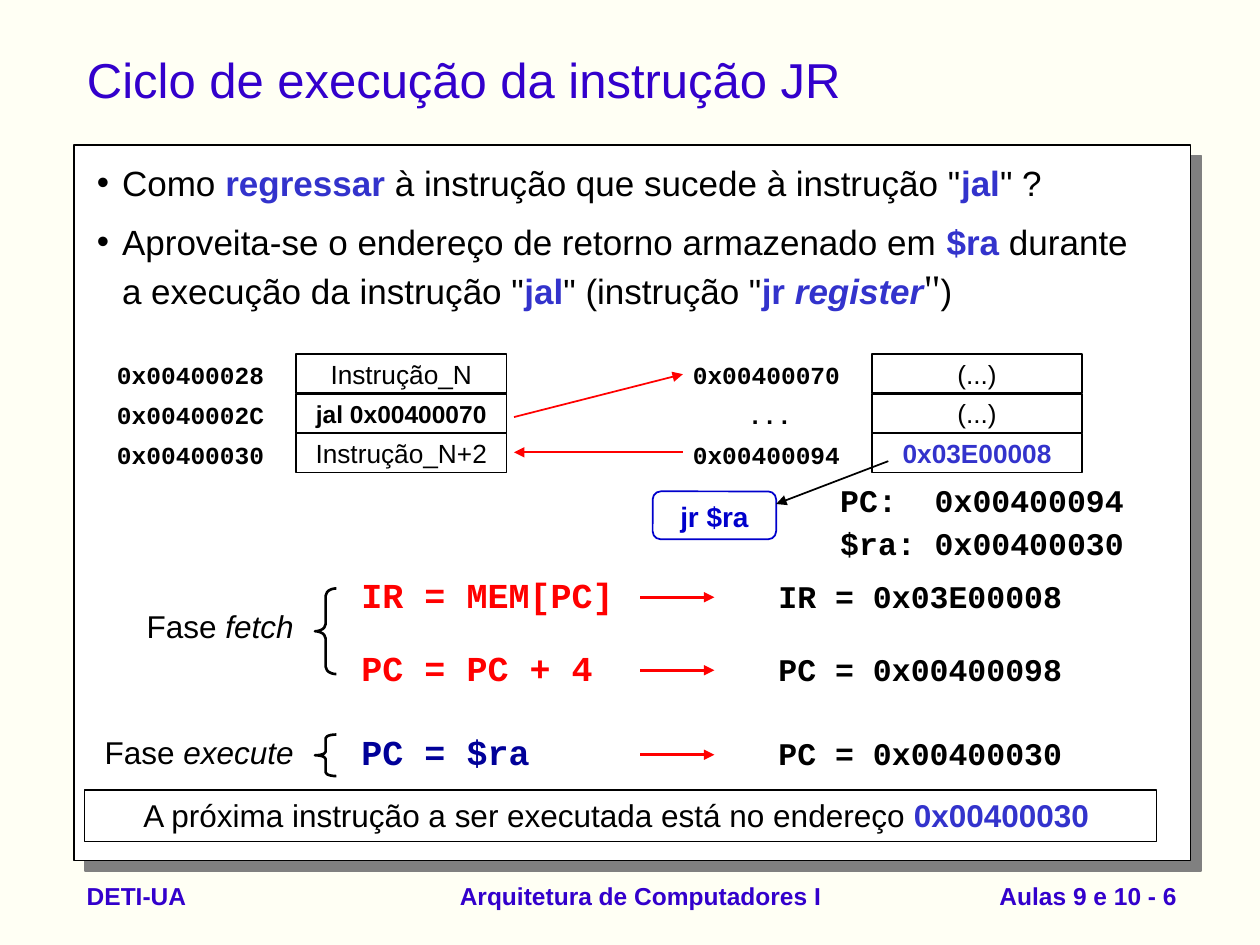
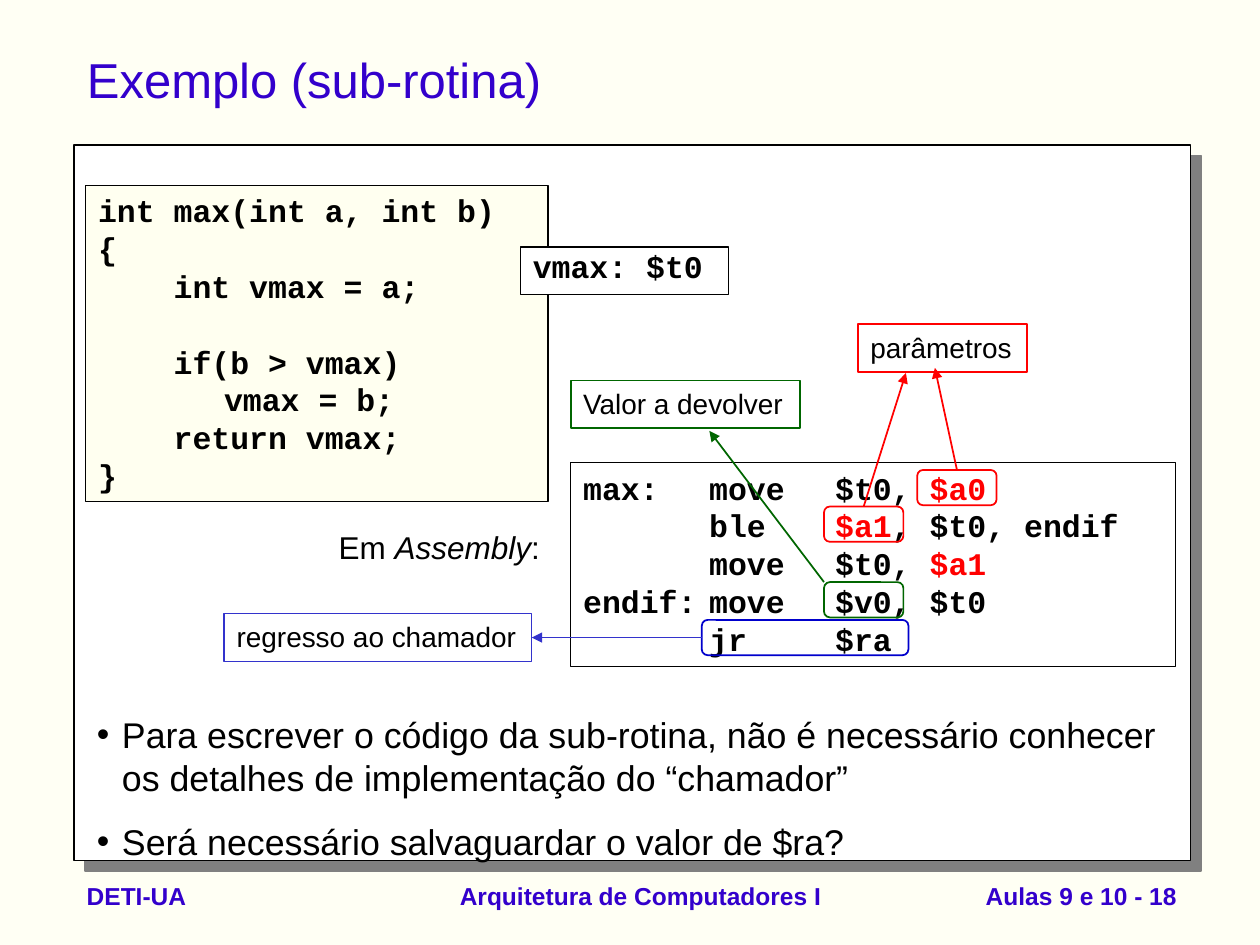
"""Builds two lecture slides on returning from subroutines in assembly."""
from lxml import etree
from pptx import Presentation
from pptx.dml.color import RGBColor
from pptx.enum import shapes, text
from pptx.oxml import ns
from pptx.util import Inches, Pt

INK = {
    "page": "FFFFF4", "cream": "FFFFF0", "white": "FFFFFF", "black": "000000",
    "shade": "808080", "title": "3300CC", "key": "3333CC", "blue": "0000CC",
    "navy": "000099", "red": "FF0000", "green": "006600",
}
RECT = shapes.MSO_SHAPE.RECTANGLE
ROUND = shapes.MSO_SHAPE.ROUNDED_RECTANGLE
BRACE = shapes.MSO_SHAPE.LEFT_BRACE
LEFT, MID, RIGHT = (getattr(text.PP_ALIGN, n) for n in ("LEFT", "CENTER", "RIGHT"))

SANS = {"name": "Arial", "size": 18, "bold": False, "italic": False, "ink": "black"}
BODY = {**SANS, "size": 20}
TAG = {**SANS, "size": 16}
CELL = {**SANS, "size": 15}
MONO = {**SANS, "name": "Courier New", "bold": True}
STEP = {**MONO, "size": 20}
ADDR = {**MONO, "size": 14}
FOOT = {**SANS, "size": 14, "bold": True, "ink": "title"}
HEAD = {**SANS, "size": 28, "ink": "title"}

KEY = {"bold": True, "ink": "key"}
RED = {"ink": "red"}
SLANT = {"italic": True}
STOPS = (1, 2, 3)

COURSE = ["DETI-UA", "Arquitetura de Computadores I", "Aulas 9 e 10 - {}"]
FEET = [((0.59, 6.85, 2.36, 0.52), LEFT), ((3.5, 6.85, 3.17, 0.52), MID),
        ((7.11, 6.85, 2.33, 0.52), RIGHT)]

POINTS = [
    ((0.67, 1.23, 8.58, 0.64),
     ["Como ", ("regressar", KEY), ' à instrução que sucede à instrução "',
      ("jal", KEY), '" ?']),
    ((0.67, 1.7, 8.58, 0.83),
     ["Aproveita-se o endereço de retorno armazenado em ", ("$ra", KEY),
      ' durante a execução da instrução "', ("jal", KEY), '" (instrução "',
      ("jr ", KEY), ("register", {**KEY, **SLANT}),
      ('"', {"name": "Times New Roman", "size": 24}), ")"]),
]
MEMORY = [
    (0.83, [("0x00400028", LEFT, "Instrução_N", {}),
            ("0x0040002C", LEFT, "jal 0x00400070", {"size": 14, "bold": True}),
            ("0x00400030", LEFT, "Instrução_N+2", {})]),
    (5.4, [("0x00400070", LEFT, "(...)", {}),
           ("...", MID, "(...)", {}),
           ("0x00400094", LEFT, "0x03E00008", KEY)]),
]
STATE = [["PC:  0x00400094"], ["$ra: 0x00400030"]]
STEPS = [(4.5, "IR = MEM[PC]", "red", "IR = 0x03E00008"),
         (5.08, "PC = PC + 4", "red", "PC = 0x00400098"),
         (5.75, "PC = $ra", "navy", "PC = 0x00400030")]
PHASES = [("fetch", 4.77, 4.67, 0.68, 0.34), ("execute", 5.77, 5.83, 0.33, 0.17)]
HOPS = [((4.08, 3.31), (5.42, 2.97), "red"), ((5.42, 3.59), (4.08, 3.59), "red"),
        ((7.05, 3.66), (6.16, 4), "black")]
NEXT = ["A próxima instrução a ser executada está no endereço ", ("0x00400030 ", KEY)]

SOURCE = [["int max(int a, int b)"], ["{"], ["    int vmax = a;"], [""],
          ["    if(b > vmax)"], ["\tvmax = b;"], ["    return vmax;"], ["}"]]
TARGET = [["max:\tmove\t$t0, ", ("$a0", RED)],
          ["\tble\t", ("$a1", RED), ", $t0, endif"],
          ["\tmove\t$t0, ", ("$a1", RED)],
          ["endif:\tmove\t$v0, $t0"],
          ["\tjr\t$ra"]]
TAGS = {"parâmetros": ((6.81, 2.57, 1.34, 0.38), "red"),
        "Valor a devolver": ((4.53, 3.02, 1.82, 0.38), "green"),
        "regresso ao chamador": ((1.78, 4.87, 2.44, 0.38), "key")}
RINGS = {"a0": ((7.28, 3.73, 0.63, 0.28), "red"),
         "a1": ((6.54, 4.02, 0.63, 0.28), "red"),
         "v0": ((6.54, 4.62, 0.63, 0.28), "green"),
         "jr": ((5.57, 4.92, 1.64, 0.28), "blue")}
NOTES = [["Para escrever o código da sub-rotina, não é necessário conhecer "
          "os detalhes de implementação do “chamador”"],
         ["Será necessário salvaguardar o valor de $ra?"]]


def tint(name):
    return RGBColor.from_string(INK[name])


def bullet(para):
    props = para._p.get_or_add_pPr()
    props.set("marL", str(Inches(0.2)))
    props.set("indent", str(-Inches(0.2)))
    etree.SubElement(props, ns.qn("a:buFont")).set("typeface", "Arial")
    etree.SubElement(props, ns.qn("a:buChar")).set("char", "•")


def tabs(para, stops):
    row = etree.SubElement(para._p.get_or_add_pPr(), ns.qn("a:tabLst"))
    for stop in stops:
        tab = etree.SubElement(row, ns.qn("a:tab"))
        tab.set("pos", str(Inches(stop)))
        tab.set("algn", "l")


def write(frame, paras, style, align=LEFT, mid=False, dots=False, gap=0, pitch=None,
          stops=()):
    looks = {"word_wrap": True, "auto_size": text.MSO_AUTO_SIZE.NONE,
             "vertical_anchor": text.MSO_ANCHOR.MIDDLE if mid else text.MSO_ANCHOR.TOP}
    for name, value in looks.items():
        setattr(frame, name, value)
    for n, runs in enumerate(paras):
        para = frame.add_paragraph() if n else frame.paragraphs[0]
        para.alignment = align
        if pitch:
            para.line_spacing = pitch
        if n and gap:
            para.space_before = Pt(gap)
        if dots:
            bullet(para)
        if stops:
            tabs(para, stops)
        para.font.size = Pt(style["size"])
        for part in runs:
            words, extra = (part, {}) if isinstance(part, str) else part
            look = {**style, **extra}
            run = para.add_run()
            run.text = words
            for name in ("name", "bold", "italic"):
                setattr(run.font, name, look[name])
            run.font.size = Pt(look["size"])
            run.font.color.rgb = tint(look["ink"])


def label(slide, box, paras, style, **form):
    area = slide.shapes.add_textbox(*map(Inches, box))
    write(area.text_frame, paras, style, **form)


def draw(slide, box, line, fill=None, kind=RECT, width=1, paras=None, style=SANS, **form):
    shape = slide.shapes.add_shape(kind, *map(Inches, box))
    shape.shadow.inherit = False
    if fill:
        shape.fill.solid()
        shape.fill.fore_color.rgb = tint(fill)
    else:
        shape.fill.background()
    shape.line.color.rgb = tint(line)
    shape.line.width = Pt(width)
    if paras:
        write(shape.text_frame, paras, style, **form)
    return shape


def arrow(slide, start, end, ink, width=1, tail=None, head=None):
    line = slide.shapes.add_connector(shapes.MSO_CONNECTOR.STRAIGHT,
                                      *map(Inches, (*start, *end)))
    line.line.color.rgb = tint(ink)
    line.line.width = Pt(width)
    etree.SubElement(line.line._get_or_add_ln(), ns.qn("a:tailEnd")).set("type", "triangle")
    etree.SubElement(line._element.spPr, ns.qn("a:effectLst"))
    if tail:
        line.begin_connect(*tail)
    if head:
        line.end_connect(*head)


def panel(slide):
    shape = draw(slide, (0.59, 1.15, 8.86, 5.68), "black", "white")
    glow = etree.SubElement(shape._element.spPr.find(ns.qn("a:effectLst")),
                            ns.qn("a:outerShdw"))
    for name, value in {"dist": Pt(8.5), "dir": 45 * 60000, "algn": "ctr",
                        "rotWithShape": 0}.items():
        glow.set(name, str(value))
    etree.SubElement(glow, ns.qn("a:srgbClr")).set("val", INK["shade"])


def start(deck, name, page):
    slide = deck.slides.add_slide(deck.slide_layouts[5])
    title = slide.shapes.title
    place = dict(zip(("left", "top", "width", "height"), (0.59, 0.28, 8.86, 0.7)))
    for side, value in place.items():
        setattr(title, side, Inches(value))
    write(title.text_frame, [[name]], HEAD, mid=True)
    panel(slide)
    for (box, align), words in zip(FEET, COURSE):
        label(slide, box, [[words.format(page)]], FOOT, align=align, mid=True)
    return slide


def cycle(deck):
    slide = start(deck, "Ciclo de execução da instrução JR", 6)
    for box, runs in POINTS:
        label(slide, box, [runs], BODY, dots=True)
    for left, rows in MEMORY:
        for n, (addr, align, words, extra) in enumerate(rows):
            top = 2.81 + n * 0.315
            draw(slide, (left, top + 0.04, 1.42, 0.25), "white", "white",
                 paras=[[addr]], style=ADDR, align=align, mid=True)
            draw(slide, (left + 1.52, top, 1.67, 0.31), "black", "white",
                 paras=[[(words, extra)]], style=CELL, align=MID, mid=True)
    label(slide, (6.57, 3.83, 2.61, 0.72), STATE, MONO, gap=7.2, pitch=0.8)
    for top, code, ink, result in STEPS:
        label(slide, (2.77, top, 2.25, 0.43), [[code]], {**STEP, "ink": ink})
        label(slide, (6.08, top + 0.03, 2.75, 0.4), [[result]], MONO)
        arrow(slide, (5.08, top + 0.24), (5.67, top + 0.24), "red", 1.5)
    for phase, top, peak, tall, curl in PHASES:
        label(slide, (0.58, top, 1.85, 0.4), [["Fase ", (phase, SLANT)]], SANS, align=RIGHT)
        brace = draw(slide, (2.5, peak, 0.17, tall), "black", kind=BRACE, width=1.5)
        brace.adjustments[0] = curl
    draw(slide, (0.67, 6.27, 8.51, 0.41), "black", width=0.75, paras=[NEXT], align=MID)
    draw(slide, (5.18, 3.9, 0.98, 0.38), "blue", kind=ROUND, paras=[["jr $ra"]],
         style={**TAG, "bold": True, "ink": "blue"}, align=MID)
    for hop in HOPS:
        arrow(slide, *hop)


def sample(deck):
    slide = start(deck, "Exemplo (sub-rotina)", 18)
    draw(slide, (0.68, 1.47, 3.67, 2.51), "black", "cream", width=0.75,
         paras=SOURCE, style=MONO, stops=STOPS)
    draw(slide, (4.53, 3.67, 4.8, 1.62), "black", width=0.75, paras=TARGET,
         style=MONO, stops=STOPS)
    draw(slide, (4.13, 1.96, 1.65, 0.38), "black", "white", width=0.75,
         paras=[["vmax: $t0"]], style=MONO, pitch=0.85)
    label(slide, (2.59, 4.14, 1.94, 0.4), [["Em ", ("Assembly", SLANT), ":"]], SANS)
    tags = {name: draw(slide, box, ink, paras=[[name]], style=TAG)
            for name, (box, ink) in TAGS.items()}
    rings = {name: draw(slide, box, ink, kind=ROUND)
             for name, (box, ink) in RINGS.items()}
    arrow(slide, (6.85, 4.02), (7.19, 2.96), "red", tail=(rings["a1"], 0))
    arrow(slide, (7.59, 3.73), (7.42, 2.92), "red", tail=(rings["a0"], 0))
    arrow(slide, (6.54, 4.62), (5.63, 3.42), "green")
    arrow(slide, (5.57, 5.06), (4.22, 5.06), "key", tail=(rings["jr"], 1),
          head=(tags["regresso ao chamador"], 3))
    label(slide, (0.67, 5.61, 8.74, 1.1), NOTES, {**BODY, "size": 20.4}, dots=True, gap=12)


def main():
    deck = Presentation()
    deck.slide_width, deck.slide_height = Inches(10), Inches(7.5)
    back = deck.slide_master.background.fill
    back.solid()
    back.fore_color.rgb = tint("page")
    cycle(deck)
    sample(deck)
    deck.save("out.pptx")


if __name__ == "__main__":
    main()
